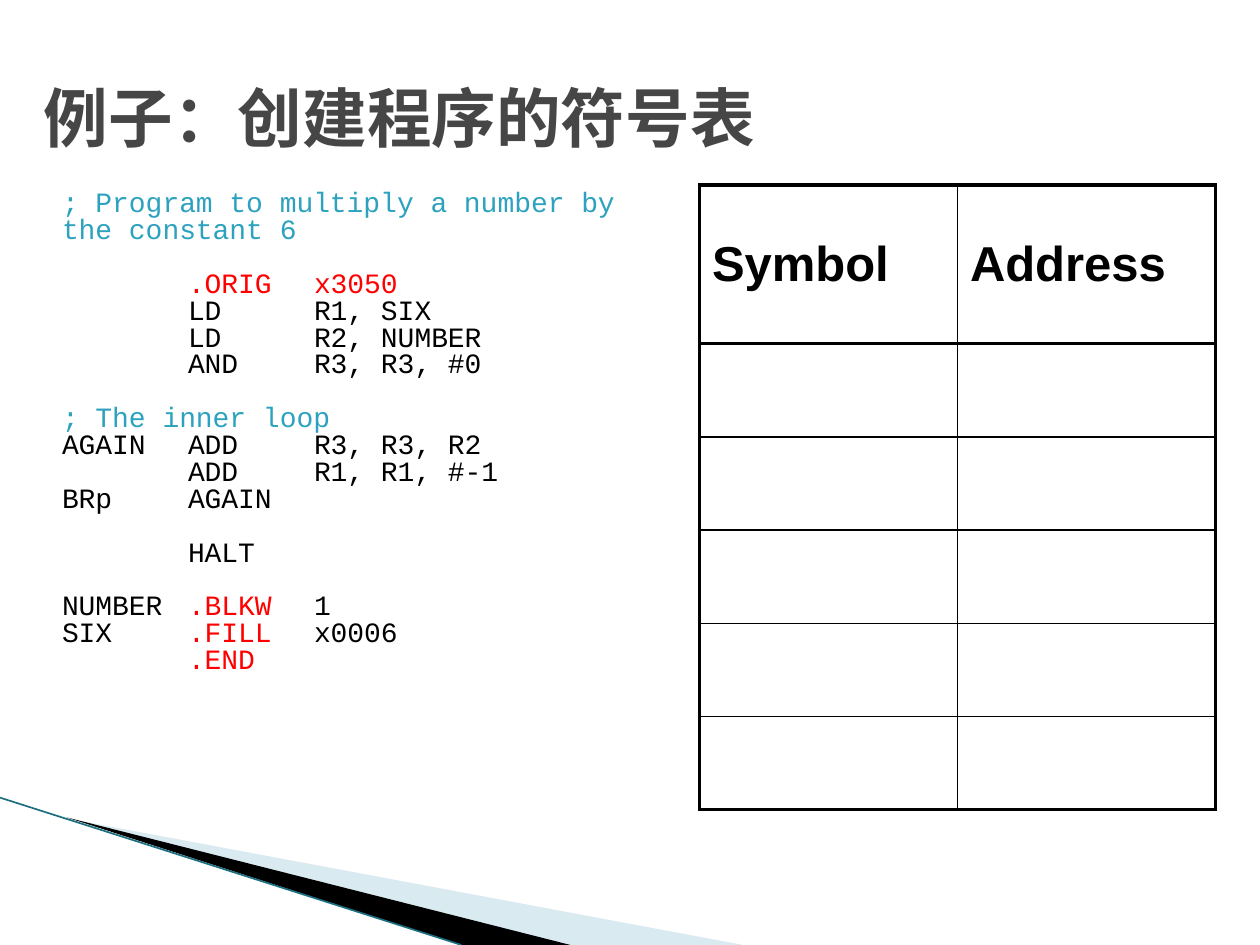
from lxml.etree import SubElement
from pptx import Presentation
from pptx.dml.color import RGBColor
from pptx.enum.text import MSO_ANCHOR, MSO_AUTO_SIZE, PP_ALIGN
from pptx.enum.shapes import MSO_CONNECTOR
from pptx.oxml.ns import qn
from pptx.util import Cm, Pt

BLACK = RGBColor(0x00, 0x00, 0x00)
GREY = RGBColor(0x46, 0x46, 0x46)
TEAL = RGBColor(0x2D, 0xA2, 0xBF)
RED = RGBColor(0xFF, 0x00, 0x00)
PALE = RGBColor(0xA0, 0xCB, 0xDC)
EDGE = RGBColor(0x1B, 0x6F, 0x80)

PITCH = Pt(15.35)
CODE = [
    (0, [("; Program to multiply a number by the constant 6", TEAL)]),
    (1, [("\t", BLACK), (".ORIG\tx3050", RED)]),
    (0, [("\tLD\tR1, SIX", BLACK)]),
    (0, [("\tLD\tR2, NUMBER", BLACK)]),
    (0, [("\tAND\tR3, R3, #0", BLACK)]),
    (1, [("; The inner loop", TEAL)]),
    (0, [("AGAIN\tADD\tR3, R3, R2", BLACK)]),
    (0, [("\tADD\tR1, R1, #-1", BLACK)]),
    (0, [("BRp\tAGAIN", BLACK)]),
    (1, [("\tHALT", BLACK)]),
    (1, [("NUMBER\t", BLACK), (".BLKW", RED), ("\t1", BLACK)]),
    (0, [("SIX\t", BLACK), (".FILL", RED), ("\tx0006", BLACK)]),
    (0, [("\t", BLACK), (".END", RED)]),
]


def add_run(para, text, face, size, color, bold=False):
    """Append one formatted run."""
    run = para.add_run()
    run.text = text
    font = run.font
    font.name, font.size, font.bold = face, Pt(size), bold
    font.color.rgb = color


def place(shape, box):
    """Move a shape to a box given in centimetres."""
    shape.left, shape.top, shape.width, shape.height = map(Cm, box)


def add_wedge(slide, box, points, color, alpha=None):
    """Draw a filled outline from points relative to the box."""
    left, top = box[:2]
    spots = [(Cm(left + x), Cm(top + y)) for x, y in points]
    form = slide.shapes.build_freeform(*spots[0])
    form.add_line_segments(spots[1:])
    wedge = form.convert_to_shape()
    wedge.shadow.inherit = False
    wedge.line.fill.background()
    wedge.fill.solid()
    wedge.fill.fore_color.rgb = color
    if alpha:
        tint = wedge.fill._xPr.find(".//" + qn("a:srgbClr"))
        SubElement(tint, qn("a:alpha"), val=str(alpha * 1000))


def add_corner(slide, box):
    """Draw the swoosh in the lower left corner."""
    left, top, _, high = box
    add_wedge(slide, box, [(1.4, 0.43), (14.98, high), (11.48, high)], PALE, 40)
    add_wedge(slide, box, [(1.35, 0.4), (11.5, high), (9.3, high)], BLACK)
    edge = slide.shapes.add_connector(
        MSO_CONNECTOR.STRAIGHT, Cm(left), Cm(top), Cm(left + 9.3), Cm(top + high))
    edge.line.color.rgb = EDGE
    edge.line.width = Pt(0.95)
    SubElement(edge._element.spPr, qn("a:effectLst"))


def add_title(slide, box):
    """Fill the title placeholder."""
    title = slide.shapes.title
    place(title, box)
    frame = title.text_frame
    frame.auto_size = MSO_AUTO_SIZE.NONE
    frame.vertical_anchor = MSO_ANCHOR.MIDDLE
    para = frame.paragraphs[0]
    para.alignment = PP_ALIGN.LEFT
    add_run(para, "例子：创建程序的符号表", "Arial", 36.9, GREY, True)


def add_code(slide, box):
    """Fill the body placeholder with the program listing."""
    body = slide.placeholders[1]
    place(body, box)
    frame = body.text_frame
    frame.auto_size = MSO_AUTO_SIZE.NONE
    frame.word_wrap = True
    frame.margin_left = Cm(0.56)
    for row, (gap, runs) in enumerate(CODE):
        para = frame.add_paragraph() if row else frame.paragraphs[0]
        para.line_spacing = PITCH
        para.space_before = gap * PITCH
        props = para._p.get_or_add_pPr()
        props.set("marL", "0")
        props.set("indent", "0")
        props.set("defTabSz", str(Cm(2.54)))
        SubElement(props, qn("a:buNone"))
        for text, color in runs:
            add_run(para, text, "Courier New", 16, color)


def set_edges(cell, thick):
    """Rule the four sides of a cell, the named ones thick."""
    props = cell._tc.get_or_add_tcPr()
    for spot, side in enumerate("LRTB"):
        width = Pt(2.25 if side in thick else 1)
        line = props.makeelement(qn("a:ln" + side), {"w": str(width)})
        fill = SubElement(line, qn("a:solidFill"))
        SubElement(fill, qn("a:srgbClr"), val=str(BLACK))
        props.insert(spot, line)


def add_symbols(slide, box):
    """Add the empty symbol table with its heading row."""
    heads = ["Symbol", "Address"]
    count = 6
    table = slide.shapes.add_table(count, len(heads), *map(Cm, box)).table
    table.horz_banding = False
    first = 3.2
    for row in range(count):
        table.rows[row].height = Cm(first if row == 0 else (box[3] - first) / (count - 1))
        for col, head in enumerate(heads):
            cell = table.cell(row, col)
            cell.fill.background()
            thick = "LR"[col] + {0: "TB", 1: "T", count - 1: "B"}.get(row, "")
            set_edges(cell, thick)
            if row == 0:
                cell.vertical_anchor = MSO_ANCHOR.MIDDLE
                add_run(cell.text_frame.paragraphs[0], head, "Arial", 28, BLACK, True)


def main():
    """Build and save the slide."""
    deck = Presentation()
    deck.slide_width, deck.slide_height = Cm(25.4), Cm(19.05)
    slide = deck.slides.add_slide(deck.slide_layouts[1])
    add_corner(slide, (0, 16.08, 15.1, 2.97))
    add_title(slide, (0.63, 1.52, 24.13, 1.65))
    add_code(slide, (0.69, 3.73, 12.8, 11.61))
    add_symbols(slide, (14.1, 3.73, 10.4, 12.59))
    deck.save("out.pptx")


if __name__ == "__main__":
    main()
